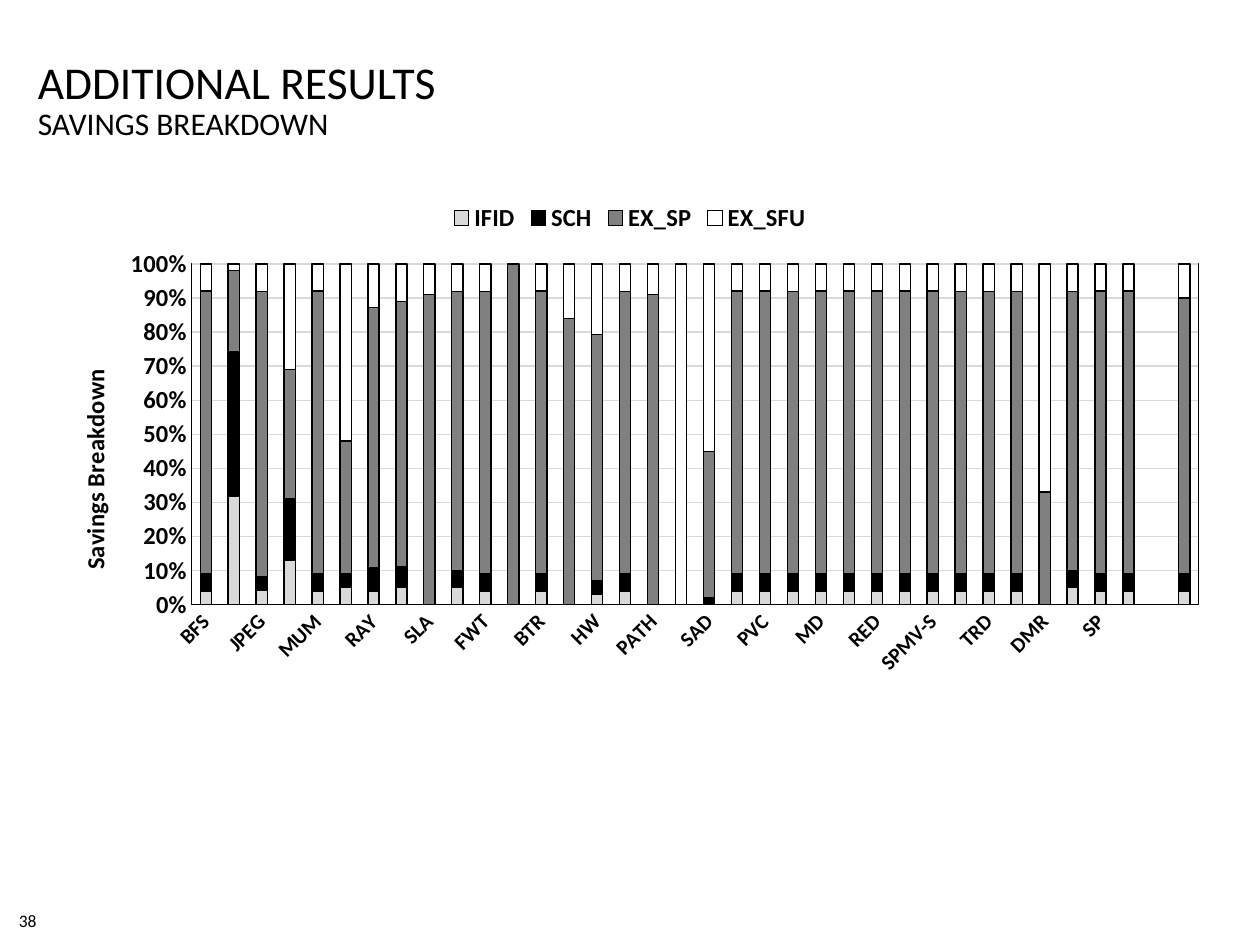
from dataclasses import dataclass

from lxml import etree
from pptx import Presentation
from pptx.chart.data import CategoryChartData
from pptx.dml.color import RGBColor
from pptx.enum.chart import XL_CHART_TYPE, XL_LEGEND_POSITION, XL_TICK_MARK
from pptx.enum.text import MSO_ANCHOR, PP_ALIGN
from pptx.oxml import parse_xml
from pptx.oxml.ns import nsdecls, qn
from pptx.util import Inches, Pt

STACKED = XL_CHART_TYPE.COLUMN_STACKED_100
LEGEND_TOP = XL_LEGEND_POSITION.TOP
NO_TICK = XL_TICK_MARK.NONE
TOP, MIDDLE, BOTTOM = MSO_ANCHOR.TOP, MSO_ANCHOR.MIDDLE, MSO_ANCHOR.BOTTOM
LEFT, RIGHT = PP_ALIGN.LEFT, PP_ALIGN.RIGHT


@dataclass(frozen=True)
class Theme:
    font: str = "Calibri"
    ink: str = "000000"
    grid: str = "D9D9D9"
    title: int = 26
    subtitle: int = 18
    chart: int = 14
    category: int = 12
    number: int = 10
    line: float = 0.75


THEME = Theme()
WIDTH, HEIGHT = Inches(10), Inches(7.5)
MARGIN = 0.03

BENCHMARKS = (
    "BFS BLK JPEG LIB MUM NN RAY SCP SLA TRA FWT BP BTR HOT HW LAV PATH MM "
    "SAD SPMV PVC PVR MD QTC RED SCAN SPMV-S ST2D TRD BH DMR MST SP SSSP"
).split()

SAVINGS = {
    "IFID": ("D9D9D9", [
        4, 32, 4, 13, 4, 5, 4, 5, 0, 5, 4, 0, 4, 0, 3, 4, 0, 0,
        0, 4, 4, 4, 4, 4, 4, 4, 4, 4, 4, 4, 0, 5, 4, 4, None, 4]),
    "SCH": ("000000", [
        5, 43, 4, 18, 5, 4, 7, 6, 0, 5, 5, 0, 5, 0, 4, 5, 0, 0,
        2, 5, 5, 5, 5, 5, 5, 5, 5, 5, 5, 5, 0, 5, 5, 5, None, 5]),
    "EX_SP": ("808080", [
        84, 24, 83, 38, 84, 39, 77, 78, 91, 82, 83, 100, 84, 84, 73, 83, 91, 0,
        43, 84, 84, 83, 84, 84, 84, 84, 84, 83, 83, 83, 33, 82, 84, 84, None, 81]),
    "EX_SFU": ("FFFFFF", [
        8, 2, 8, 31, 8, 52, 13, 11, 9, 8, 8, 0, 8, 16, 21, 8, 9, 100,
        55, 8, 8, 8, 8, 8, 8, 8, 8, 8, 8, 8, 67, 8, 8, 8, None, 10]),
}


def share(left, top, width, height):
    return (int(WIDTH * left), int(HEIGHT * top),
            int(WIDTH * width), int(HEIGHT * height))


def style_font(font, size, bold=False):
    font.name = THEME.font
    font.size = Pt(size)
    font.bold = bold
    font.color.rgb = RGBColor.from_string(THEME.ink)


def style_line(line, color):
    line.color.rgb = RGBColor.from_string(color)
    line.width = Pt(THEME.line)


def add_text(slide, text, *, area, size, anchor=TOP, align=LEFT, wrap=True):
    frame = slide.shapes.add_textbox(*share(*area)).text_frame
    frame.word_wrap = wrap
    frame.vertical_anchor = anchor
    frame.margin_left = frame.margin_right = 0
    frame.margin_top = frame.margin_bottom = 0
    paragraph = frame.paragraphs[0]
    paragraph.alignment = align
    run = paragraph.add_run()
    run.text = text
    style_font(run.font, size)


def manual_layout(**shares):
    inner = '<c:layoutTarget val="inner"/>' if "w" in shares else ""
    modes = "".join(f'<c:{key}Mode val="edge"/>' for key in ("x", "y"))
    values = "".join(f'<c:{key} val="{value}"/>' for key, value in shares.items())
    return parse_xml(f'<c:layout {nsdecls("c")}><c:manualLayout>'
                     f'{inner}{modes}{values}</c:manualLayout></c:layout>')


def place(parent, index, **shares):
    for layout in parent.findall(qn("c:layout")):
        parent.remove(layout)
    parent.insert(index, manual_layout(**shares))


def frame_plot(plot_area):
    plot_area.append(parse_xml(
        f'<c:spPr {nsdecls("c", "a")}><a:noFill/><a:ln w="{Pt(THEME.line)}">'
        f'<a:solidFill><a:srgbClr val="{THEME.ink}"/></a:solidFill></a:ln></c:spPr>'))


def style_category_axis(axis):
    axis.major_tick_mark = axis.minor_tick_mark = NO_TICK
    style_font(axis.tick_labels.font, THEME.category, bold=True)
    style_line(axis.format.line, THEME.ink)
    axis.tick_labels.font.italic = False
    body = axis._element.find(qn("c:txPr")).find(qn("a:bodyPr"))
    body.set("rot", "-2700000")


def style_value_axis(axis):
    axis.major_tick_mark = axis.minor_tick_mark = NO_TICK
    axis.major_unit = 0.1
    axis.tick_labels.number_format = "0%"
    axis.tick_labels.number_format_is_linked = False
    style_font(axis.tick_labels.font, THEME.chart, bold=True)
    axis.format.line.fill.background()
    axis.has_major_gridlines = True
    style_line(axis.major_gridlines.format.line, THEME.grid)
    heading = axis.axis_title.text_frame
    heading.text = "Savings Breakdown"
    style_font(heading.paragraphs[0].runs[0].font, THEME.chart, bold=True)
    body = heading._txBody.find(qn("a:bodyPr"))
    body.set("rot", "-5400000")
    body.set("vert", "horz")
    place(axis.axis_title._element, 1, x=0.03, y=0.35)


def add_savings_chart(slide, area):
    data = CategoryChartData(number_format="0")
    data.categories = BENCHMARKS + ["", "AVG"]
    for name, (_, values) in SAVINGS.items():
        data.add_series(name, values)
    chart = slide.shapes.add_chart(STACKED, *share(*area), data).chart
    style_font(chart.font, THEME.chart, bold=True)
    chart.has_title = False
    chart.has_legend = True
    chart.legend.position = LEGEND_TOP
    chart.legend.include_in_layout = False
    style_font(chart.legend.font, THEME.chart, bold=True)
    plot = chart.plots[0]
    plot.gap_width, plot.overlap = 150, 100
    plot.vary_by_categories = False
    for series, (color, _) in zip(plot.series, SAVINGS.values()):
        series.format.fill.solid()
        series.format.fill.fore_color.rgb = RGBColor.from_string(color)
        style_line(series.format.line, THEME.ink)
    style_category_axis(chart.category_axis)
    style_value_axis(chart.value_axis)
    plot_area = chart._chartSpace.chart.plotArea
    place(plot_area, 0, x=0.13, y=0.15, w=0.85, h=0.68)
    frame_plot(plot_area)


def main():
    deck = Presentation()
    deck.slide_width, deck.slide_height = WIDTH, HEIGHT
    slide = deck.slides.add_slide(deck.slide_layouts[6])
    add_text(slide, "38", area=(0.013, 0.957, 0.016, 0.035), size=THEME.number,
             anchor=MIDDLE, align=RIGHT, wrap=False)
    add_text(slide, "ADDITIONAL RESULTS", area=(MARGIN, 0.045, 0.84, 0.07),
             size=THEME.title, anchor=BOTTOM)
    add_text(slide, "SAVINGS BREAKDOWN", area=(MARGIN, 0.11, 0.84, 0.04),
             size=THEME.subtitle)
    add_savings_chart(slide, (MARGIN, 0.2, 1 - 2 * MARGIN, 0.53))
    deck.save("out.pptx")


if __name__ == "__main__":
    main()
